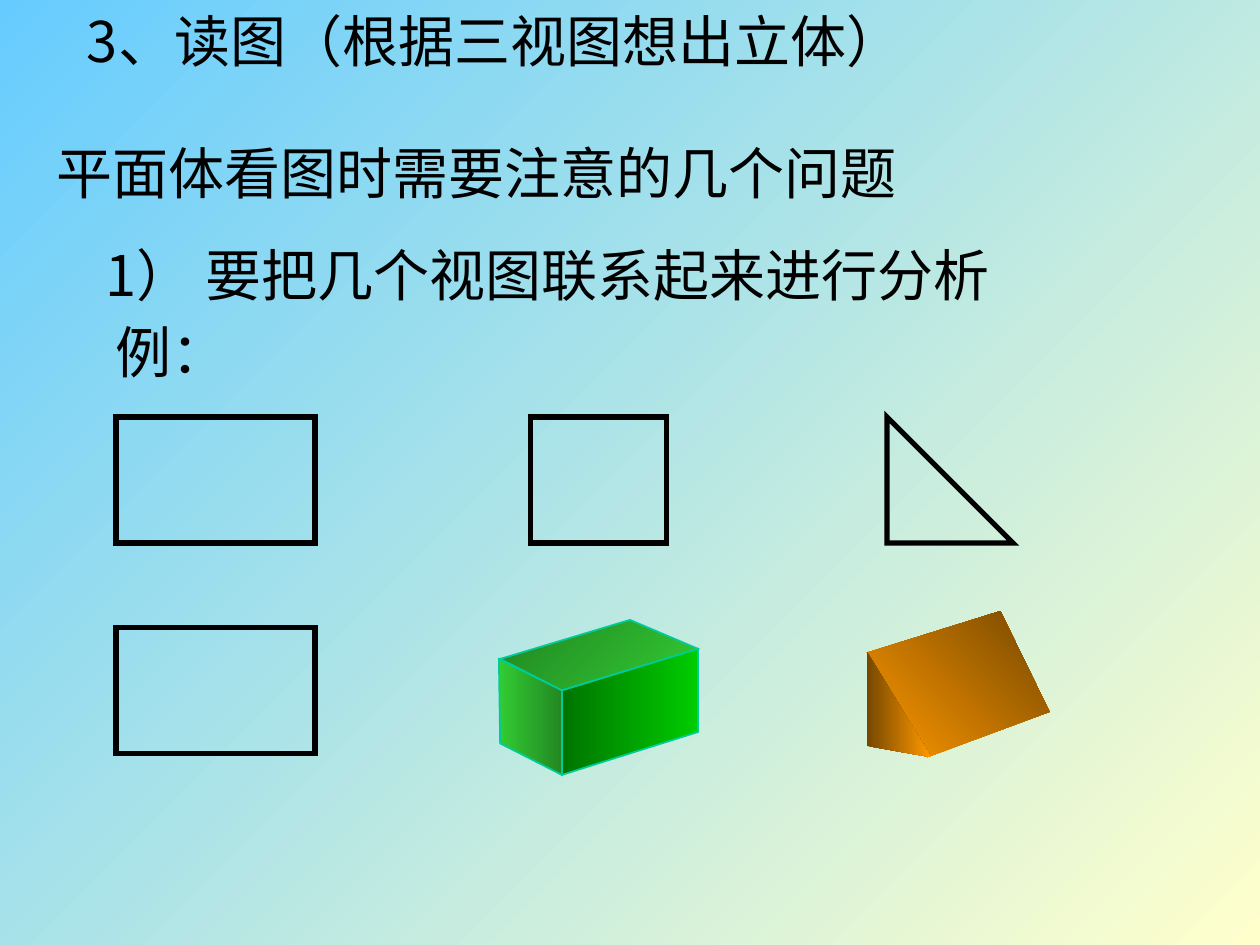
"""Build a slide on reading three-view drawings of plane solids."""
from lxml import etree
from pptx import Presentation
from pptx import util as u
from pptx.dml.color import RGBColor
from pptx.enum import shapes, text
from pptx.oxml.ns import qn

COLORS = {
    "ink": "000000", "edge": "00CC99", "sky": "66CCFF", "cream": "FFFFCC",
    "top_dark": "218421", "green": "33CC33", "side_dark": "228822",
    "front_dark": "007400", "front": "00CC00",
    "orange": "FF9900", "brown": "764700",
}
CJK, ROMAN = "Noto Sans CJK SC", "Times New Roman"
VIEW_ROWS = (3.31, 4.98)
VIEW_COLS = (0.92, 4.21, 7.04)
VIEW_HEIGHT = 1

HEADING = ("3、读图（根据三视图想出立体）", (0.59, 0, 8.82, 0.64))
LINES = [
    ("平面体看图时需要注意的几个问题", (0.35, 1.05, 6.95, 0.64), CJK),
    ("1） 要把几个视图联系起来进行分析", (0.74, 1.86, 7.4, 0.64), CJK),
    ("例：", (0.82, 2.47, 1.15, 0.64), ROMAN),
]
RECT = shapes.MSO_SHAPE.RECTANGLE
VIEWS = [
    (RECT, 0, 0, 1.58),
    (RECT, 0, 1, 1.58),
    (RECT, 1, 0, 1.08),
    (shapes.MSO_SHAPE.RIGHT_TRIANGLE, 2, 0, 1),
]
BOX = [
    ([(3.97, 5.23), (5, 4.92), (5.54, 5.15), (4.46, 5.48)], "top_dark", "green", 45),
    ([(3.96, 5.23), (3.97, 5.9), (4.46, 6.15), (4.46, 5.48)], "green", "side_dark", 0),
    ([(4.46, 5.48), (4.46, 6.15), (5.54, 5.81), (5.54, 5.15)], "front_dark", "front", 0),
]
WEDGE = [
    ([(6.88, 5.18), (7.94, 4.85), (8.33, 5.65), (7.36, 6.01)], "orange", "brown", 315),
    ([(6.88, 5.17), (6.88, 5.92), (7.39, 6.01)], "brown", "orange", 0),
]


def rgb(name):
    """Return the named colour."""
    return RGBColor.from_string(COLORS[name])


def set_gradient(fill, start, end, angle):
    """Fill with two colours along a clockwise angle."""
    fill.gradient()
    fill.gradient_angle = (360 - angle) % 360
    for stop, name in zip(fill.gradient_stops, (start, end)):
        stop.color.rgb = rgb(name)


def set_line(sp, color, width):
    """Give a shape a solid outline with sharp corners."""
    sp.line.color.rgb = rgb(color)
    sp.line.width = u.Pt(width)
    ln = sp._element.spPr.find(qn("a:ln"))
    etree.SubElement(ln, qn("a:miter"), lim="800000")


def write(sp, words, box, font, wrap):
    """Place a text shape and write one formatted line in it."""
    for name, value in zip(("left", "top", "width", "height"), box):
        setattr(sp, name, u.Inches(value))
    tf = sp.text_frame
    frame = {"word_wrap": wrap, "auto_size": text.MSO_AUTO_SIZE.SHAPE_TO_FIT_TEXT,
             "vertical_anchor": text.MSO_ANCHOR.TOP}
    for name, value in frame.items():
        setattr(tf, name, value)
    p = tf.paragraphs[0]
    p.alignment = text.PP_ALIGN.LEFT
    r = p.add_run()
    r.text = words
    for name, value in {"size": u.Pt(32), "name": font}.items():
        setattr(r.font, name, value)
    r.font.color.rgb = rgb("ink")
    latin = r.font._element.find(qn("a:latin"))
    latin.addnext(etree.Element(qn("a:ea"), typeface=CJK))


def add_view(s, kind, col, row, width):
    """Draw one unfilled view outline in the grid."""
    box = (VIEW_COLS[col], VIEW_ROWS[row], width, VIEW_HEIGHT)
    sp = s.shapes.add_shape(kind, *map(u.Inches, box))
    sp.shadow.inherit = False
    sp.fill.background()
    set_line(sp, "ink", 3)


def add_solid(s, faces, edge=None):
    """Draw a solid as a group of shaded faces."""
    group = s.shapes.add_group_shape()
    for points, start, end, angle in faces:
        corners = [(u.Inches(x), u.Inches(y)) for x, y in points]
        outline = group.shapes.build_freeform(*corners[0])
        outline.add_line_segments(corners[1:], close=True)
        sp = outline.convert_to_shape()
        sp.shadow.inherit = False
        set_gradient(sp.fill, start, end, angle)
        if edge:
            set_line(sp, edge, 1)
        else:
            sp.line.fill.background()


def main():
    """Build and save the slide."""
    prs = Presentation()
    prs.slide_width, prs.slide_height = u.Inches(10), u.Inches(7.5)
    s = prs.slides.add_slide(prs.slide_layouts[5])
    set_gradient(s.background.fill, "sky", "cream", 45)
    write(s.shapes.title, *HEADING, CJK, True)
    for words, box, font in LINES:
        write(s.shapes.add_textbox(0, 0, 0, 0), words, box, font, False)
    for view in VIEWS:
        add_view(s, *view)
    add_solid(s, BOX, "edge")
    add_solid(s, WEDGE)
    prs.save("out.pptx")


if __name__ == "__main__":
    main()
